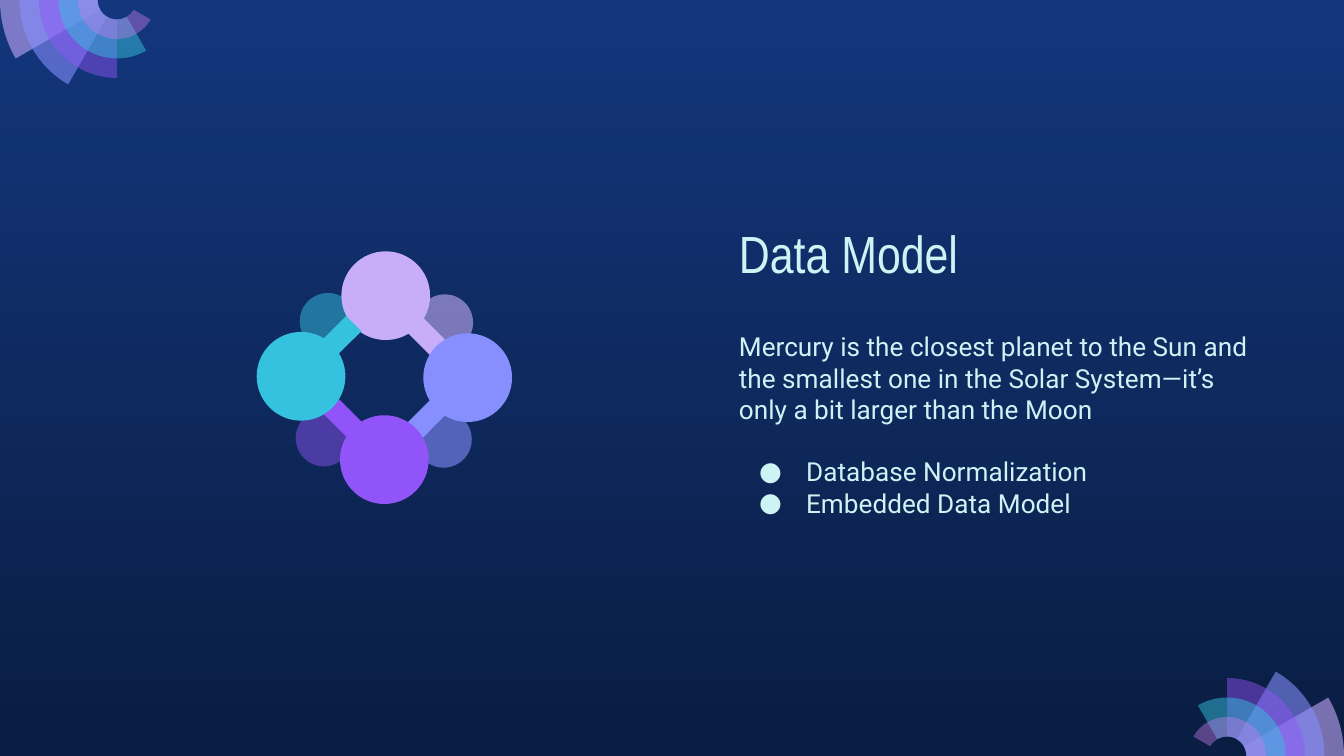
from math import asin, cos, degrees, radians, sin, tan

from lxml import etree
from pptx import Presentation
from pptx.dml.color import RGBColor
from pptx.enum.shapes import MSO_SHAPE as SHAPE
from pptx.enum.text import MSO_ANCHOR as ANCHOR
from pptx.oxml.ns import qn
from pptx.util import Inches, Pt

TEAL, LILAC, BLUE, PURPLE, ORCHID = "35C2DF", "C8AEF8", "878FFF", "9154F8", "CA7BEB"
PALE = "CEF3F5"


def paint(shape, color, alpha=100):
    """Give a flat fill with alpha in percent, no outline and no shadow."""
    shape.shadow.inherit = False
    shape.line.fill.background()
    shape.fill.solid()
    shape.fill.fore_color.rgb = RGBColor.from_string(color)
    if alpha < 100:
        tint = shape.fill._xPr.find(qn("a:solidFill"))[0]
        etree.SubElement(tint, qn("a:alpha"), val=str(alpha * 1000))


def draw_arcs(center, arcs, color, alpha=100):
    """Join (radius, from, to) arcs by straight lines into one closed outline.

    Angles are clockwise degrees. Arcs are split at quarter turns, so that the
    corners span the whole outline; an arc with equal angles is a corner.
    """
    def place(radius, angle):
        return (Inches(center[0] + radius * cos(radians(angle))),
                Inches(center[1] + radius * sin(radians(angle))))

    corners, curves = [], {}
    for radius, start, end in arcs:
        quarters = [q for q in range(-720, 721, 90) if min(start, end) < q < max(start, end)]
        angles = sorted({start, end, *quarters}, reverse=start > end)
        corners.append(place(radius, angles[0]))
        for a, b in zip(angles, angles[1:]):
            turn = degrees(4 / 3 * tan(radians(b - a) / 4))
            pull = radians(turn)
            reach = radius * (1 + pull ** 2) ** 0.5
            swing = degrees(asin(pull / (1 + pull ** 2) ** 0.5))
            curves[len(corners)] = [place(reach, a + swing), place(reach, b - swing)]
            corners.append(place(radius, b))

    outline = slide.shapes.build_freeform(*corners[0])
    outline.add_line_segments(corners[1:], close=True)
    shape = outline.convert_to_shape()
    segments = list(shape._element.iter(qn("a:lnTo")))
    for i, handles in curves.items():
        segment = segments[i - 1]
        segment.tag = qn("a:cubicBezTo")
        for position, (x, y) in enumerate(handles):
            handle = etree.Element(qn("a:pt"), x=str(x - shape.left), y=str(y - shape.top))
            segment.insert(position, handle)
    paint(shape, color, alpha)


prs = Presentation()
prs.slide_width, prs.slide_height = Inches(10), Inches(5.625)
slide = prs.slides.add_slide(prs.slide_layouts[6])

backdrop = slide.background.fill
backdrop.gradient()
backdrop.gradient_angle = 270
for stop, color, position in zip(backdrop.gradient_stops, ["13367C", "0A1D42"], [0, 1]):
    stop.color.rgb = RGBColor.from_string(color)
    stop.position = position

# Small translucent nodes behind the ring
SMALL = 0.42
for x, y, color, alpha in [(2.44, 2.39, TEAL, 49), (3.31, 2.4, LILAC, 59),
                           (3.3, 3.27, BLUE, 58), (2.41, 3.26, PURPLE, 46)]:
    node = slide.shapes.add_shape(SHAPE.OVAL, Inches(x - SMALL / 2), Inches(y - SMALL / 2),
                                  Inches(SMALL), Inches(SMALL))
    paint(node, color, alpha)

# Title and body
heading = slide.shapes.add_textbox(Inches(5.4), Inches(1.61), Inches(2.08), Inches(0.6))
heading.text_frame.text = "Data Model"
heading.text_frame.vertical_anchor = ANCHOR.BOTTOM
body = slide.shapes.add_textbox(Inches(5.4), Inches(2.36), Inches(4.1), Inches(1.99))
body.text_frame.text = "\n".join([
    "Mercury is the closest planet to the Sun and the smallest one "
    "in the Solar System—it’s only a bit larger than the Moon",
    "Database Normalization",
    "Embedded Data Model",
])
for box, font_name, size in [(heading, "Arial Narrow", 28), (body, "Roboto", 14)]:
    frame = box.text_frame
    frame.word_wrap = True
    frame.margin_left = frame.margin_right = Inches(0.1)
    frame.margin_top = frame.margin_bottom = Inches(0.1)
    for paragraph in frame.paragraphs:
        for run in paragraph.runs:
            run.font.name, run.font.size = font_name, Pt(size)
            run.font.color.rgb = RGBColor.from_string(PALE)

topics = body.text_frame.paragraphs[1:]
topics[0].space_before = Pt(16.5)
for topic in topics:
    props = topic._p.get_or_add_pPr()
    props.set("marL", str(Inches(0.5)))
    props.set("indent", str(Inches(-0.35)))
    bullet_color = etree.SubElement(props, qn("a:buClr"))
    etree.SubElement(bullet_color, qn("a:srgbClr"), val=PALE)
    etree.SubElement(props, qn("a:buFont"), typeface="Roboto")
    etree.SubElement(props, qn("a:buChar"), char="●")

# Ring of large nodes, each with an arm that reaches the next node's edge
NODE, ARM, ARM_HALF = 0.33, 0.56, 0.08
root = degrees(asin(ARM_HALF / NODE))
tip = degrees(asin(ARM_HALF / ARM))
ring = [(2.87, 2.2, LILAC), (3.48, 2.81, BLUE), (2.86, 3.42, PURPLE), (2.24, 2.8, TEAL)]
for i, (x, y, color) in enumerate(ring):
    aim = 45 + 90 * i
    draw_arcs((x, y), [(ARM, aim - tip, aim - tip), (ARM, aim + tip, aim + tip),
                       (NODE, aim + root, aim + 360 - root)], color)

# Fans in opposite corners: each ray is one band shorter and 30 degrees wider
BAND = 0.29 / 2
rays = [("C8ACFD", 58), (BLUE, 58), (PURPLE, 46), (TEAL, 49), (ORCHID, 42)]
for center, base in [((9.13, 5.625), 360), ((0.87, 0), 180)]:
    for i, (color, alpha) in enumerate(rays):
        edge = base - 30 * (i + 1)
        draw_arcs(center, [(BAND * (6 - i), edge, base), (BAND, base, edge)], color, alpha)

prs.save("out.pptx")
